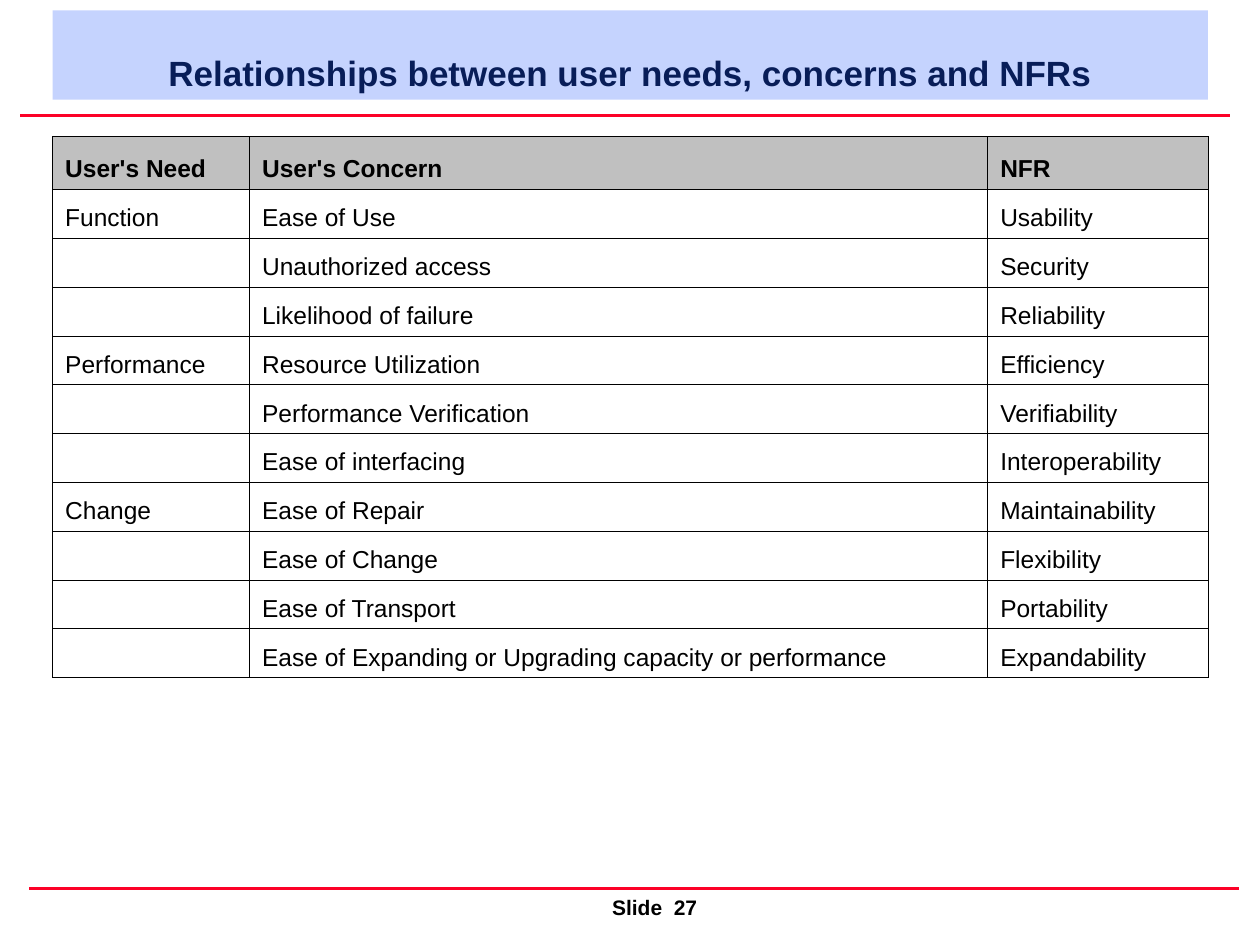
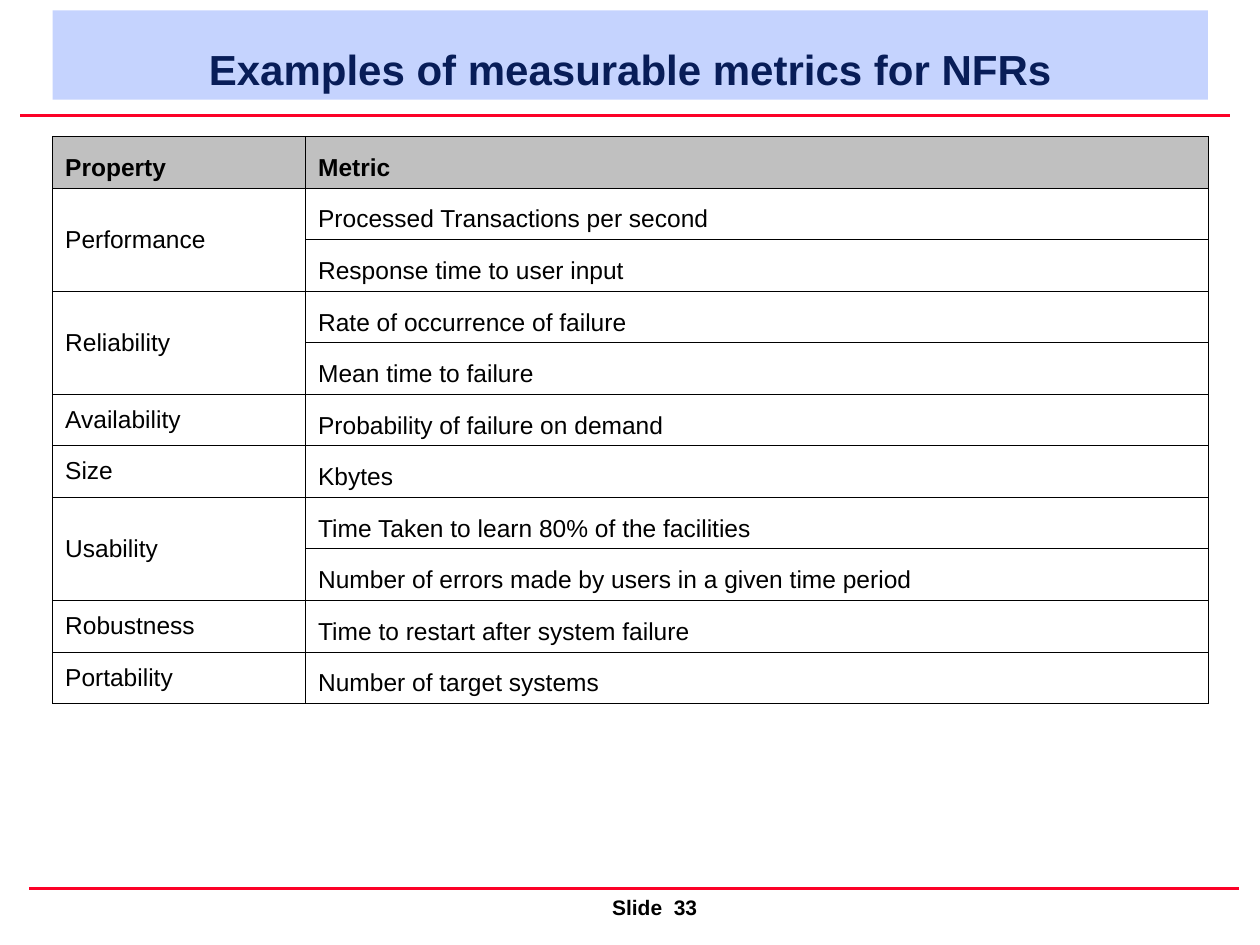
import pptx
import pptx.util
import pptx.dml.color
import pptx.enum.shapes
import pptx.enum.text
from lxml import etree
from pptx.oxml.ns import qn

Cm = pptx.util.Cm
Pt = pptx.util.Pt
Align = pptx.enum.text.PP_ALIGN
Anchor = pptx.enum.text.MSO_ANCHOR

HUES = {"band": "C5D3FE", "title": "081D58", "rule": "FC0128",
        "head": "C0C0C0", "body": "FFFFFF", "text": "000000"}
LEFT, WIDTH = 1.06, 23.29

NEEDS = [
    ("User's Need", "User's Concern", "NFR"),
    ("Function", "Ease of Use", "Usability"),
    ("", "Unauthorized access", "Security"),
    ("", "Likelihood of failure", "Reliability"),
    ("Performance", "Resource Utilization", "Efficiency"),
    ("", "Performance Verification", "Verifiability"),
    ("", "Ease of interfacing", "Interoperability"),
    ("Change", "Ease of Repair", "Maintainability"),
    ("", "Ease of Change", "Flexibility"),
    ("", "Ease of Transport", "Portability"),
    ("", "Ease of Expanding or Upgrading capacity or performance", "Expandability"),
]

METRICS = {
    "Performance": ["Processed Transactions per second", "Response time to user input"],
    "Reliability": ["Rate of occurrence of failure", "Mean time to failure"],
    "Availability": ["Probability of failure on demand"],
    "Size": ["Kbytes"],
    "Usability": ["Time Taken to learn 80% of the facilities",
                  "Number of errors made by users in a given time period"],
    "Robustness": ["Time to restart after system failure"],
    "Portability": ["Number of target systems"],
}


def color(name):
    return pptx.dml.color.RGBColor.from_string(HUES[name])


class Deck:
    def __init__(self):
        self.prs = pptx.Presentation()
        self.prs.slide_width, self.prs.slide_height = Cm(25.4), Cm(19.05)
        self.slide = None

    def start(self, title, size, number):
        """Add a slide with its title band, red rules and footer."""
        self.slide = self.prs.slides.add_slide(self.prs.slide_layouts[6])
        self.footer(f"Slide  {number}")
        self.rule(0.41, 2.33)
        self.rule(0.59, 17.91)
        self.band(title, size)

    def label(self, frame, text, size, hue="text", bold=False):
        para = frame.paragraphs[0]
        para.text = text
        font = para.font
        font.name, font.size, font.bold = "Arial", Pt(size), bold
        font.color.rgb = color(hue)
        return para

    def band(self, text, size):
        band = self.slide.shapes.add_shape(
            pptx.enum.shapes.MSO_SHAPE.RECTANGLE, Cm(LEFT), Cm(0.21), Cm(WIDTH), Cm(1.8))
        band.shadow.inherit = False
        band.fill.solid()
        band.fill.fore_color.rgb = color("band")
        band.line.fill.background()
        band.text_frame.word_wrap = True
        band.text_frame.vertical_anchor = Anchor.BOTTOM
        self.label(band.text_frame, text, size, "title", True).alignment = Align.CENTER

    def rule(self, x, y):
        line = self.slide.shapes.add_connector(
            pptx.enum.shapes.MSO_CONNECTOR.STRAIGHT, Cm(x), Cm(y), Cm(x + 24.38), Cm(y))
        line.line.color.rgb = color("rule")
        line.line.width = Pt(2)
        etree.SubElement(line._element.spPr, qn("a:effectLst"))

    def footer(self, text):
        box = self.slide.shapes.add_textbox(Cm(12.09), Cm(17.91), Cm(11.7), Cm(0.76))
        box.text_frame.word_wrap = True
        self.label(box.text_frame, text, 12, bold=True)

    def border(self, cell):
        props = cell._tc.get_or_add_tcPr()
        for side in ("lnL", "lnR", "lnT", "lnB"):
            edge = etree.SubElement(props, qn(f"a:{side}"), w=str(Pt(0.45)))
            fill = etree.SubElement(edge, qn("a:solidFill"))
            etree.SubElement(fill, qn("a:srgbClr"), val=HUES["text"])

    def table(self, rows, widths, head, height):
        """Draw rows under a grey head; the body rows share the rest of the height."""
        grid = self.slide.shapes.add_table(
            len(rows), len(widths), Cm(LEFT), Cm(2.75), Cm(WIDTH), Cm(height)).table
        for col, width in zip(grid.columns, widths):
            col.width = Cm(width)
        for r, row in enumerate(rows):
            top = r == 0
            grid.rows[r].height = Cm(head if top else (height - head) / (len(rows) - 1))
            for c, text in enumerate(row):
                cell = grid.cell(r, c)
                self.border(cell)
                cell.fill.solid()
                cell.fill.fore_color.rgb = color("head" if top else "body")
                cell.vertical_anchor = Anchor.BOTTOM
                self.label(cell.text_frame, text, 14, bold=top)
        return grid


def main():
    deck = Deck()
    deck.start("Relationships between user needs, concerns and NFRs", 20, 27)
    deck.table(NEEDS, [3.97, 14.88, 4.44], 1.07, 10.91)

    deck.start("Examples of measurable metrics for NFRs", 24, 33)
    rows = [("Property", "Metric")]
    for prop, items in METRICS.items():
        rows += [("" if i else prop, item) for i, item in enumerate(items)]
    grid = deck.table(rows, [5.1, 18.19], 1.04, 11.43)
    r = 1
    for items in METRICS.values():
        cell = grid.cell(r, 0)
        cell.vertical_anchor = Anchor.MIDDLE
        if len(items) > 1:
            cell.merge(grid.cell(r + len(items) - 1, 0))
        r += len(items)
    deck.prs.save("out.pptx")


if __name__ == "__main__":
    main()
